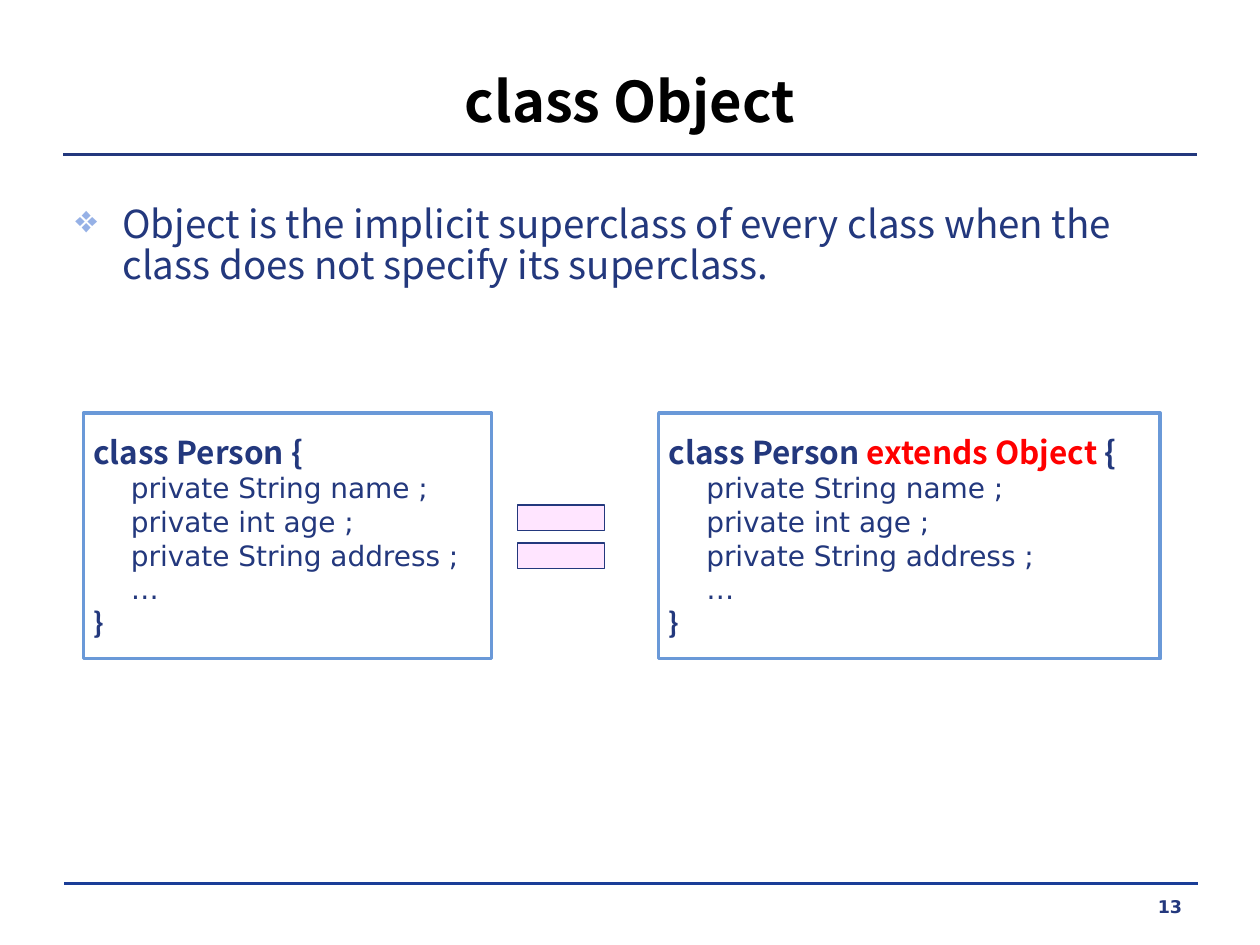
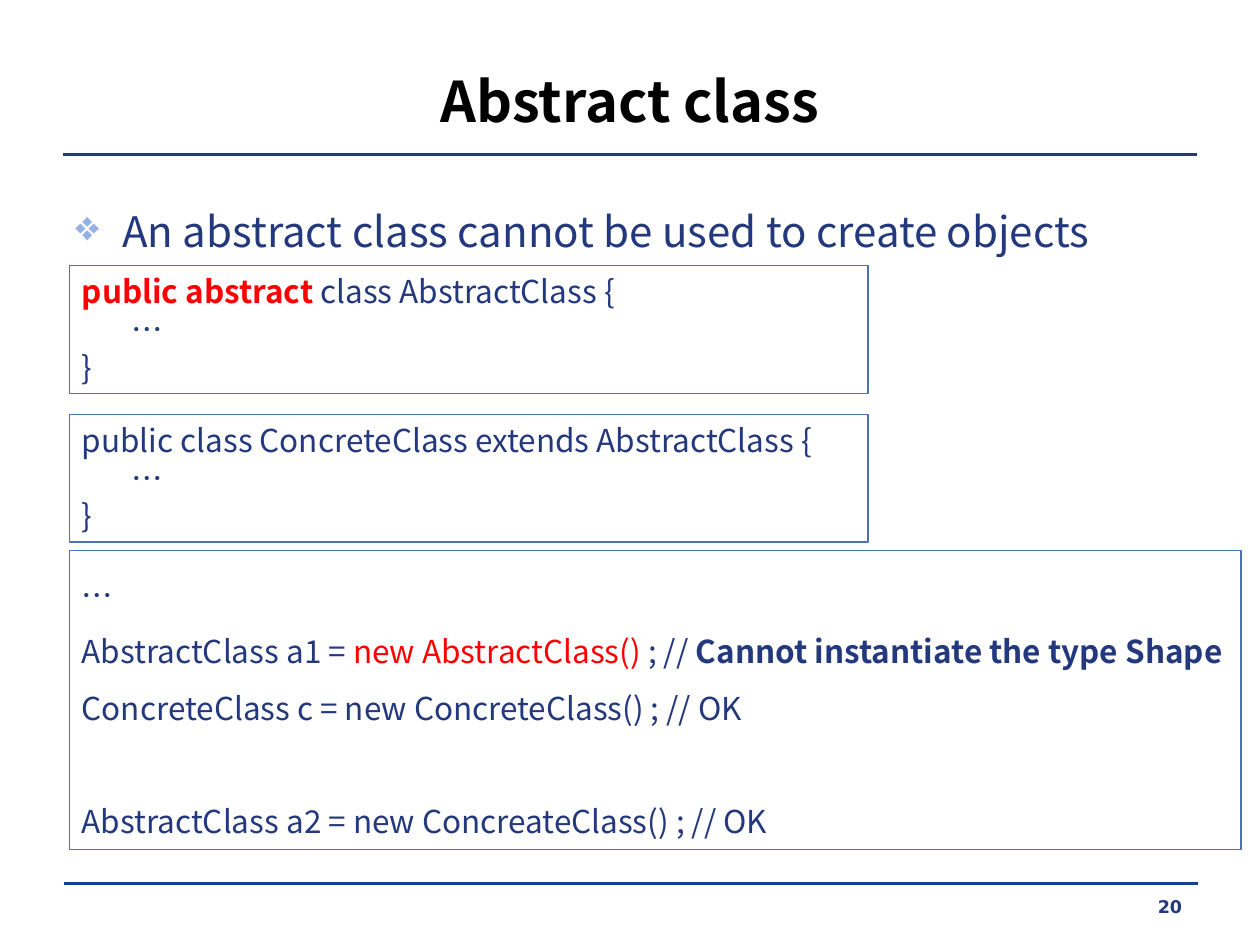
import pptx
import pptx.util
import pptx.dml.color
import pptx.enum.shapes
import pptx.enum.text
import pptx.oxml.ns
from lxml import etree

Cm, Pt = pptx.util.Cm, pptx.util.Pt
RGB = pptx.dml.color.RGBColor
SHAPE = pptx.enum.shapes.MSO_SHAPE
ALIGN = pptx.enum.text.PP_ALIGN
ANCHOR = pptx.enum.text.MSO_ANCHOR
qn = pptx.oxml.ns.qn

NAVY = RGB(0x23, 0x38, 0x7D)
BLUE = RGB(0x1A, 0x3D, 0x97)
SKY = RGB(0x6A, 0x99, 0xD8)
STEEL = RGB(0x49, 0x72, 0xBB)
PINK = RGB(0xFF, 0x9B, 0xFF)
RED = RGB(0xFF, 0, 0)
BLACK = RGB(0, 0, 0)
WHITE = RGB(255, 255, 255)
NOTO, DEJA = "Noto Sans CJK KR", "DejaVu Sans"

# Content: a line of code is a list of runs (text, colour, bold); None inherits
TITLES = ["class Object", "Abstract class"]
PAGES = ["13", "20"]
POINTS = [
    ("Object is the implicit superclass of every class when the class "
     "does not specify its superclass.", 22, 0.9),
    ("An abstract class cannot be used to create objects", 24, 1.0),
]
FIELDS = ["private String name ;", "private int age ;",
          "private String address ;", "…"]
HEADS = [
    [("class Person {", None, None)],
    [("class Person ", None, None), ("extends Object", RED, None),
     (" {", None, None)],
]
CLASSES = [
    [("public abstract", RED, True), (" class AbstractClass {", None, None)],
    [("public class ConcreteClass extends AbstractClass {", None, None)],
]
USES = [
    [("…", None, None)],
    [("AbstractClass a1 = ", None, None), ("new AbstractClass()", RED, None),
     (" ; // ", None, None), ("Cannot instantiate the type Shape", None, True)],
    [("ConcreteClass c = new ConcreteClass() ; // OK", None, None)],
    [("AbstractClass a2 = new ConcreateClass() ; // OK", None, None)],
]

# Places in cm: left, top, width, height
PERSONS = [(1.68, 8.33, 8.23, 4.95), (13.28, 8.33, 10.11, 4.95)]
EQUAL = (10.11, 9.73, 2.39, 2.18)
LEFT, TOP, WIDE, HIGH, STEP = 1.4, 5.36, 16.1, 2.57, 3.0
USE = (LEFT, 11.1, 23.62, 6.02)


def place(box):
    return [Cm(v) for v in box]


def style(para, size, name=NOTO, bold=False, color=NAVY):
    font = para.font
    font.size, font.bold, font.name = Pt(size), bold, name
    font.color.rgb = color
    etree.SubElement(font._element, qn("a:ea"), typeface=name)


def add_para(frame, runs, size, name=NOTO, bold=False, tab=None):
    first = frame.paragraphs[0]
    para = frame.add_paragraph() if first.runs else first
    para.alignment = ALIGN.LEFT
    if tab:
        stops = etree.SubElement(para._p.get_or_add_pPr(), qn("a:tabLst"))
        etree.SubElement(stops, qn("a:tab"), pos=str(Cm(tab)), algn="l")
    style(para, size, name, bold)
    for text, color, heavy in runs:
        run = para.add_run()
        run.text = text
        if color:
            run.font.color.rgb = color
        if heavy:
            run.font.bold = True
    return para


def add_shape(slide, kind, box, fill, line, width):
    shape = slide.shapes.add_shape(kind, *place(box))
    shape.shadow.inherit = False
    if fill is None:
        shape.fill.background()
    else:
        shape.fill.solid()
        shape.fill.fore_color.rgb = fill
    shape.line.color.rgb = line
    shape.line.width = Pt(width)
    shape.text_frame.word_wrap = True
    return shape


def add_text(slide, box):
    frame = slide.shapes.add_textbox(*place(box)).text_frame
    frame.word_wrap = True
    return frame


def add_rule(slide, left, right, top, color, width):
    rule = slide.shapes.add_connector(
        pptx.enum.shapes.MSO_CONNECTOR.STRAIGHT, *place((left, top, right, top)))
    rule.line.color.rgb = color
    rule.line.width = Pt(width)
    etree.SubElement(rule._element.spPr, qn("a:effectLst"))


def add_slide(deck, title, point, page):
    slide = deck.slides.add_slide(deck.slide_layouts[5])
    add_rule(slide, 1.3, 24.15, 17.81, BLUE, 0)
    add_rule(slide, 1.27, 24.13, 3.12, NAVY, 1.5)

    # Title
    head = slide.shapes.title
    head.left, head.top, head.width, head.height = place((1.3, 0.89, 22.8, 2.24))
    frame = head.text_frame
    frame.text = title
    frame.auto_size = pptx.enum.text.MSO_AUTO_SIZE.NONE
    frame.vertical_anchor = ANCHOR.MIDDLE
    frame.paragraphs[0].alignment = ALIGN.CENTER
    style(frame.paragraphs[0], 32, bold=True, color=BLACK)

    # Bullet point
    text, size, space = point
    para = add_text(slide, (1.27, 4.01, 22.86, 1.93)).paragraphs[0]
    para.text = text
    para.line_spacing = space
    props = para._p.get_or_add_pPr()
    props.set("marL", str(Cm(0.95)))
    props.set("indent", str(Cm(-0.95)))
    tint = etree.SubElement(props, qn("a:buClr"))
    etree.SubElement(tint, qn("a:srgbClr"), val="96B1E6")
    etree.SubElement(props, qn("a:buChar"), char="❖")
    style(para, size)

    # Page number
    para = add_text(slide, (18.29, 17.93, 5.79, 0.61)).paragraphs[0]
    para.text = page
    para.alignment = ALIGN.RIGHT
    style(para, 10, DEJA, True)
    return slide


def fill_object(slide):
    # Two equal class bodies
    for box, head in zip(PERSONS, HEADS):
        frame = add_shape(slide, SHAPE.RECTANGLE, box, WHITE, SKY, 2).text_frame
        frame.vertical_anchor = ANCHOR.MIDDLE
        frame.margin_left = frame.margin_right = Cm(0.2)
        add_para(frame, head, 18, bold=True)
        for field in FIELDS:
            add_para(frame, [("\t" + field, None, None)], 16, DEJA, tab=0.76)
        add_para(frame, [("}", None, None)], 16, bold=True)

    # Equal sign
    sign = add_shape(slide, SHAPE.MATH_EQUAL, EQUAL, PINK, NAVY, 0.75)
    tint = sign._element.spPr.find(qn("a:solidFill"))[0]
    etree.SubElement(tint, qn("a:alpha"), val="26000")


def fill_abstract(slide):
    # Class definitions
    for i, head in enumerate(CLASSES):
        box = (LEFT, TOP + i * STEP, WIDE, HIGH)
        frame = add_shape(slide, SHAPE.RECTANGLE, box, None, STEEL, 0.75).text_frame
        frame.vertical_anchor = ANCHOR.TOP
        for runs in (head, [("\t…", None, None)], [("}", None, None)]):
            add_para(frame, runs, 18, tab=1)

    # Use of the classes
    frame = add_shape(slide, SHAPE.RECTANGLE, USE, None, STEEL, 0.75).text_frame
    frame.vertical_anchor = ANCHOR.TOP
    for runs in USES:
        para = add_para(frame, runs, 18)
        para.line_spacing = 1.5
    para.space_before = Pt(32)


def main():
    deck = pptx.Presentation()
    deck.slide_width, deck.slide_height = Cm(25.4), Cm(19.05)
    fills = [fill_object, fill_abstract]
    for title, point, page, fill in zip(TITLES, POINTS, PAGES, fills):
        fill(add_slide(deck, title, point, page))
    deck.save("out.pptx")


if __name__ == "__main__":
    main()
